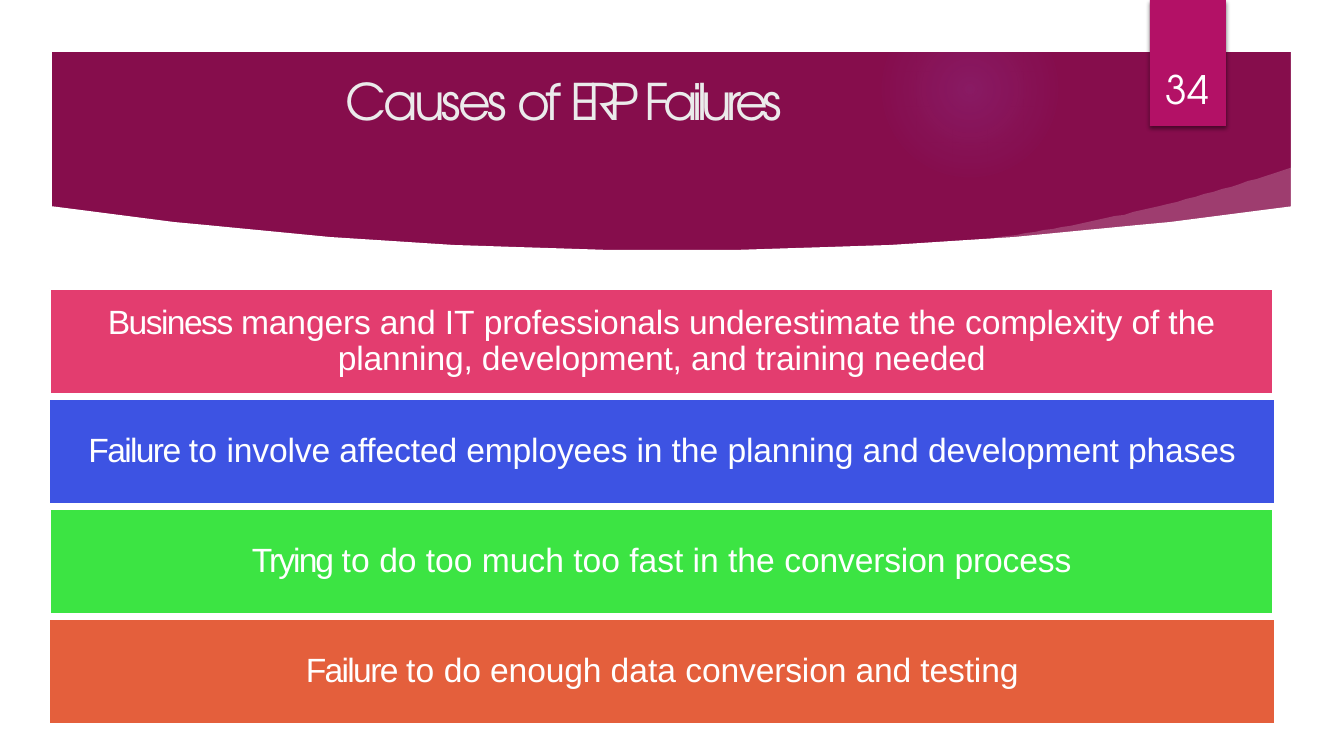
import lxml.etree
import pptx
import pptx.dml.color
import pptx.enum.shapes
import pptx.enum.text
import pptx.oxml
import pptx.oxml.ns
import pptx.util

RGBColor = pptx.dml.color.RGBColor
Shapes = pptx.enum.shapes.MSO_SHAPE
Align = pptx.enum.text.PP_ALIGN
Anchor = pptx.enum.text.MSO_ANCHOR

WHITE = RGBColor(0xFF, 0xFF, 0xFF)
MAROON = RGBColor(0x86, 0x0D, 0x4C)
VIOLET = RGBColor(0x9B, 0x6B, 0xF2)
MAGENTA = RGBColor(0xB3, 0x11, 0x66)
PALE = RGBColor(0xEB, 0xEB, 0xEB)
PINK = RGBColor(0xE3, 0x3D, 0x6F)
BLUE = RGBColor(0x3D, 0x53, 0xE3)
GREEN = RGBColor(0x3C, 0xE4, 0x43)
ORANGE = RGBColor(0xE4, 0x5F, 0x3C)

# Content: runs are (text, letter spacing in points)
TITLE = [("Causes ", -2.4), ("of ", -3.5), ("ERP ", -6.5), ("Failures", -3.9)]
PAGE_NUMBER = [("34", 0)]
CAUSES = [
    (PINK, [("Business ", -1.1), ("mangers and ", -0.1), ("IT ", 0.1),
            ("professionals underestimate ", -0.1), ("the ", 0), ("complexity of ", -0.1),
            ("the ", 0), ("planning, development, and training needed", -0.1)]),
    (BLUE, [("Failure ", -1.2), ("to ", 0.1), ("involve affected employees in ", -0.1),
            ("the ", 0), ("planning ", -0.1), ("and ", 0), ("development phases", -0.1)]),
    (GREEN, [("Trying ", -1.4), ("to ", 0.1), ("do ", -0.1),
             ("too much too fast in the ", 0), ("conversion process", -0.1)]),
    (ORANGE, [("Failure ", -1.2), ("to ", 0.1), ("do enough ", -0.1),
              ("data ", 0), ("conversion and testing", -0.1)]),
]

# Layout in px
EMU_PER_PX = 914400 / 100.8
WIDTH, HEIGHT = 1344, 756
BAR_TOP, BAR_HEIGHT, BAR_PITCH = 289, 105, 110
HEADING_FONT, BODY_FONT = "TeX Gyre Adventor", "Arial"


def emu(px):
    return pptx.util.Emu(round(px * EMU_PER_PX))


def curve(start, control, end, steps=40):
    """Points along a quadratic curve."""
    fractions = [step / steps for step in range(steps + 1)]
    return [tuple(round((1 - t) ** 2 * a + 2 * t * (1 - t) * b + t * t * c, 2)
                  for a, b, c in zip(start, control, end)) for t in fractions]


def style(shape, fill, line=None):
    shape.shadow.inherit = False
    shape.fill.solid()
    shape.fill.fore_color.rgb = fill
    if line is None:
        shape.line.fill.background()
    else:
        shape.line.color.rgb = line
        shape.line.width = pptx.util.Pt(1.5)
    return shape


def add_preset(kind, left, top, width, height, fill, line=None):
    shape = slide.shapes.add_shape(kind, emu(left), emu(top), emu(width), emu(height))
    return style(shape, fill, line)


def add_outline(*contours, fill):
    builder = slide.shapes.build_freeform(*contours[0][0], scale=EMU_PER_PX)
    builder.add_line_segments(contours[0][1:], close=True)
    for contour in contours[1:]:
        builder.move_to(*contour[0])
        builder.add_line_segments(contour[1:], close=True)
    return style(builder.convert_to_shape(), fill)


def set_alpha(color_element, percent):
    alpha = lxml.etree.SubElement(color_element, pptx.oxml.ns.qn("a:alpha"))
    alpha.set("val", str(percent * 1000))


def add_text(shape, runs, font, size, color, align=Align.CENTER, anchor=Anchor.MIDDLE,
             line_spacing=None, insets=(0, 0, 0, 0)):
    frame = shape.text_frame
    frame.word_wrap = True
    frame.vertical_anchor = anchor
    frame.margin_left, frame.margin_top, frame.margin_right, frame.margin_bottom = map(emu, insets)
    paragraph = frame.paragraphs[0]
    paragraph.alignment = align
    paragraph.line_spacing = line_spacing
    for text, spacing in runs:
        run = paragraph.add_run()
        run.text = text
        run.font.name = font
        run.font.size = pptx.util.Pt(size)
        run.font.color.rgb = color
        run._r.get_or_add_rPr().set("spc", str(round(spacing * 100)))


def add_text_box(left, top, width, height, *arguments, **options):
    box = slide.shapes.add_textbox(emu(left), emu(top), emu(width), emu(height))
    add_text(box, *arguments, **options)


presentation = pptx.Presentation()
presentation.slide_width, presentation.slide_height = emu(WIDTH), emu(HEIGHT)
slide = presentation.slides.add_slide(presentation.slide_layouts[6])
slide.background.fill.solid()
slide.background.fill.fore_color.rgb = MAROON

# Soft glow in the header
glow = add_preset(Shapes.OVAL, 882, 1, 176, 176, VIOLET)
stops = "".join(
    f'<a:gs pos="{position * 1000}"><a:srgbClr val="{VIOLET}">'
    f'<a:alpha val="{alpha * 1000}"/></a:srgbClr></a:gs>'
    for position, alpha in [(0, 14), (36, 7), (73, 0), (100, 0)])
gradient = pptx.oxml.parse_xml(
    f'<a:gradFill {pptx.oxml.ns.nsdecls("a")}><a:gsLst>{stops}</a:gsLst><a:path path="circle">'
    '<a:fillToRect l="50000" t="50000" r="50000" b="50000"/></a:path></a:gradFill>')
solid = glow._element.spPr.find(pptx.oxml.ns.qn("a:solidFill"))
solid.getparent().replace(solid, gradient)

# Translucent swoosh, curved white body and white frame
swoosh = add_outline(curve((937, 245), (1115, 227), (1293, 167)) + [(1299, 216), (941, 252)],
                     fill=WHITE)
set_alpha(swoosh._element.spPr.find(".//" + pptx.oxml.ns.qn("a:srgbClr")), 20)
add_outline(curve((50, 206), (672, 294), (1294, 206)) + [(1294, 706), (50, 706)], fill=WHITE)
add_outline([(0, 0), (0, HEIGHT), (WIDTH, HEIGHT), (WIDTH, 0)],
            [(1291, 704), (52, 704), (52, 52), (1291, 52)], fill=WHITE)

# Page number tab with its shadow
tab = add_preset(Shapes.RECTANGLE, 1150, 0, 76, 126, MAGENTA)
effects = tab._element.spPr.find(pptx.oxml.ns.qn("a:effectLst"))
effects.append(pptx.oxml.parse_xml(
    f'<a:outerShdw {pptx.oxml.ns.nsdecls("a")} blurRad="38100" dist="25400" dir="5400000" '
    'rotWithShape="0"><a:srgbClr val="000000"><a:alpha val="45000"/></a:srgbClr></a:outerShdw>'))

# Cause bars, every second one slightly wider
for index, (color, runs) in enumerate(CAUSES):
    widening = index % 2
    bar = add_preset(Shapes.RECTANGLE, 50 - widening, BAR_TOP + index * BAR_PITCH,
                     1223 + 3 * widening, BAR_HEIGHT, color, line=WHITE)
    add_text(bar, runs, BODY_FONT, 24, WHITE, line_spacing=0.9, insets=(7, 7, 7, 7))

# Title and page number
add_text_box(345, 68, 536, 63, TITLE, HEADING_FONT, 36, PALE, align=Align.LEFT,
             insets=(1, 1, 0, 0))
add_text_box(1141, 32, 93, 85, PAGE_NUMBER, HEADING_FONT, 28, WHITE, anchor=Anchor.BOTTOM,
             insets=(10, 5, 10, 5))

presentation.save("out.pptx")
